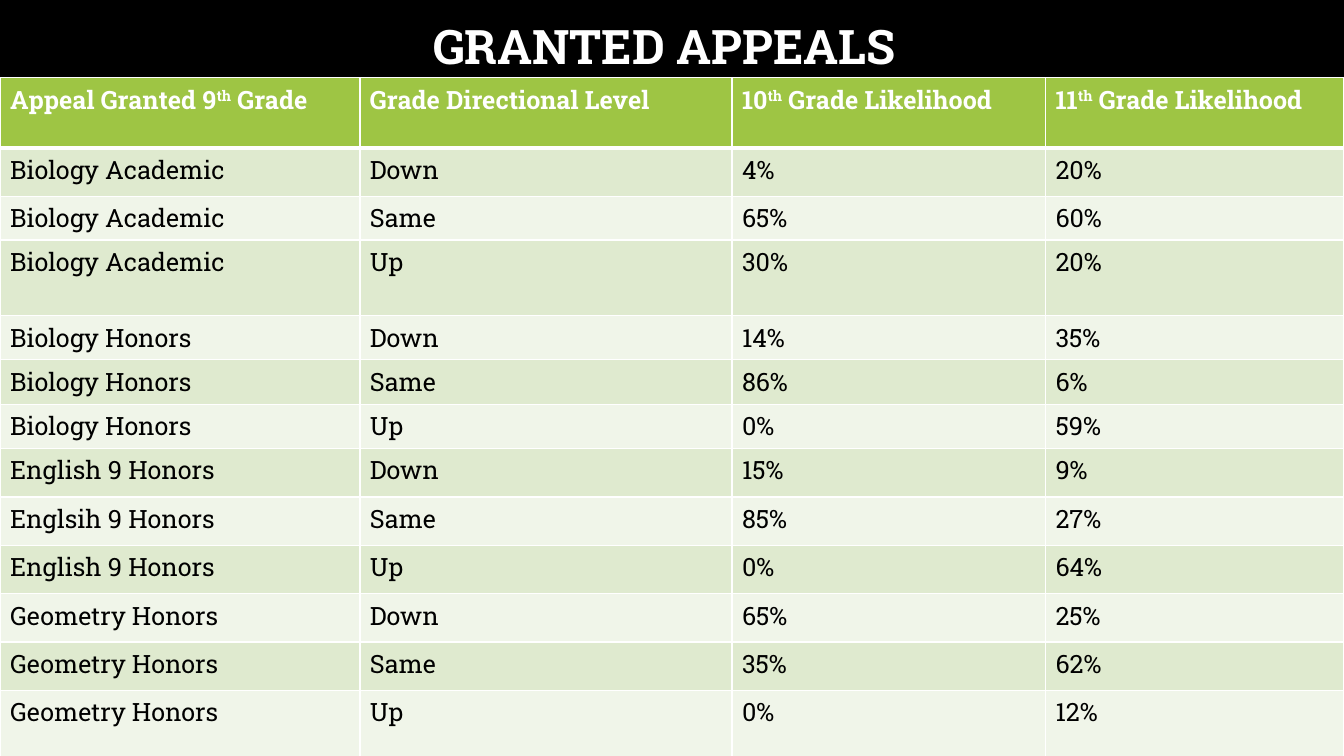
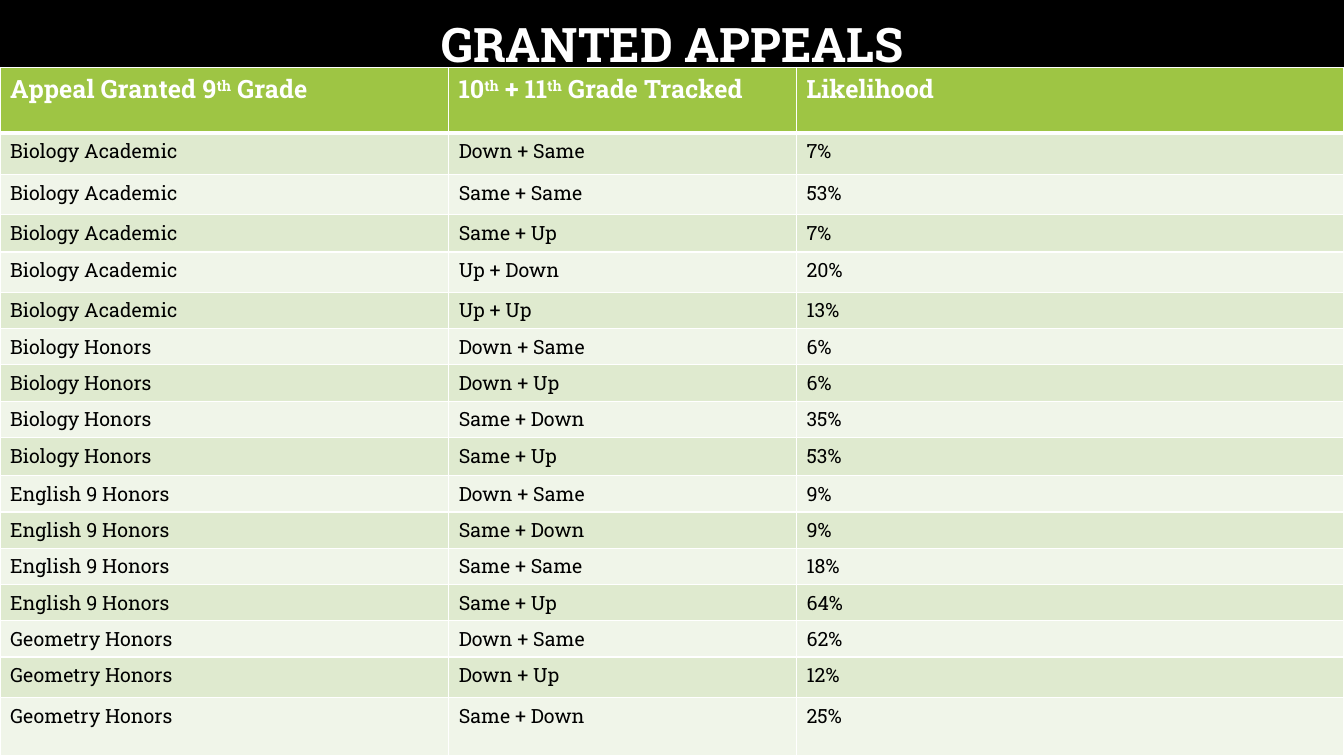
from lxml import etree
from pptx import Presentation
from pptx.dml.color import RGBColor
from pptx.enum import text
from pptx.oxml import ns
from pptx.util import Inches, Pt

FONT = "Roboto Slab"
COLORS = {
    "back": "000000",
    "head": "9EC544",
    "odd": "DFEACF",
    "even": "F0F5E9",
    "light": "FFFFFF",
    "dark": "000000",
}
WIDTH, HEIGHT = 13.33, 7.5
TITLE = "GRANTED APPEALS"

GRADES = {
    "title": (0.93, 0.05, 11.32, 0.88),
    "top": 0.77,
    "size": 18,
    "cols": [3.57, 3.69, 3.11, 2.96],
    "rows": [0.7, 0.48, 0.42, 0.75] + [0.44] * 3 + [0.48] * 5 + [0.66],
    "head": ["Appeal Granted 9^th^ Grade", "Grade Directional Level",
             "10^th^ Grade Likelihood", "11^th^ Grade Likelihood"],
    "data": [
        ("Biology Academic", "Down", "4%", "20%"),
        ("Biology Academic", "Same", "65%", "60%"),
        ("Biology Academic", "Up", "30%", "20%"),
        ("Biology Honors", "Down", "14%", "35%"),
        ("Biology Honors", "Same", "86%", "6%"),
        ("Biology Honors", "Up", "0%", "59%"),
        ("English 9 Honors", "Down", "15%", "9%"),
        ("Englsih 9 Honors", "Same", "85%", "27%"),
        ("English 9 Honors", "Up", "0%", "64%"),
        ("Geometry Honors", "Down", "65%", "25%"),
        ("Geometry Honors", "Same", "35%", "62%"),
        ("Geometry Honors", "Up", "0%", "12%"),
    ],
}

TRACKS = {
    "title": (1.01, 0, 11.32, 0.93),
    "top": 0.67,
    "size": 14,
    "cols": [4.45, 3.45, 5.43],
    "rows": [0.65, 0.41, 0.4, 0.37, 0.4] + [0.36] * 4 + [0.38]
            + [0.36] * 5 + [0.4, 0.58],
    "head": ["Appeal Granted 9^th^ Grade", "10^th^ + 11^th^ Grade Tracked",
             "Likelihood"],
    "data": [
        ("Biology Academic", "Down + Same", "7%"),
        ("Biology Academic", "Same + Same", "53%"),
        ("Biology Academic", "Same + Up", "7%"),
        ("Biology Academic", "Up + Down", "20%"),
        ("Biology Academic", "Up + Up", "13%"),
        ("Biology Honors", "Down + Same", "6%"),
        ("Biology Honors", "Down + Up", "6%"),
        ("Biology Honors", "Same + Down", "35%"),
        ("Biology Honors", "Same + Up", "53%"),
        ("English 9 Honors", "Down + Same", "9%"),
        ("English 9 Honors", "Same + Down", "9%"),
        ("English 9 Honors", "Same + Same", "18%"),
        ("English 9 Honors", "Same + Up", "64%"),
        ("Geometry Honors", "Down + Same", "62%"),
        ("Geometry Honors", "Down + Up", "12%"),
        ("Geometry Honors", "Same + Down", "25%"),
    ],
}


def color(name):
    return RGBColor.from_string(COLORS[name])


def style(para, size, tone, bold):
    font = para.font
    font.name, font.size, font.bold = FONT, Pt(size), bold
    font.color.rgb = color(tone)


def write(para, words):
    """Add runs to a paragraph; text between carets is superscript."""
    for i, part in enumerate(words.split("^")):
        run = para.add_run()
        run.text = part
        if i % 2:
            run._r.get_or_add_rPr().set("baseline", "30000")


def edge(cell, side, width):
    line = etree.SubElement(cell._tc.get_or_add_tcPr(), ns.qn("a:ln" + side),
                            w=str(Pt(width)))
    fill = etree.SubElement(line, ns.qn("a:solidFill"))
    etree.SubElement(fill, ns.qn("a:srgbClr"), val=COLORS["light"])


def add_title(slide, box):
    title = slide.shapes.title
    title.left, title.top, title.width, title.height = map(Inches, box)
    frame = title.text_frame
    frame.auto_size = text.MSO_AUTO_SIZE.NONE
    frame.vertical_anchor = text.MSO_ANCHOR.MIDDLE
    para = frame.paragraphs[0]
    para.alignment = text.PP_ALIGN.CENTER
    para.line_spacing = 0.9
    style(para, 34, "light", True)
    write(para, TITLE)


def fill_cell(cell, words, row, size):
    head = row == 0
    for side in "LRTB":
        thick = head and side == "B" or row == 1 and side == "T"
        edge(cell, side, 3 if thick else 1)
    cell.fill.solid()
    cell.fill.fore_color.rgb = color(
        "head" if head else "odd" if row % 2 else "even")
    para = cell.text_frame.paragraphs[0]
    style(para, 18 if head else size, "light" if head else "dark", head)
    write(para, words)


def add_grid(slide, page):
    rows = [page["head"], *page["data"]]
    grid = slide.shapes.add_table(
        len(rows), len(page["cols"]), 0, Inches(page["top"]),
        Inches(WIDTH), Inches(HEIGHT - page["top"])).table
    for col, width in zip(grid.columns, page["cols"]):
        col.width = Inches(width)
    for r, (words, high) in enumerate(zip(rows, page["rows"])):
        grid.rows[r].height = Inches(high)
        for c, word in enumerate(words):
            fill_cell(grid.cell(r, c), word, r, page["size"])


def main():
    deck = Presentation()
    deck.slide_width, deck.slide_height = Inches(WIDTH), Inches(HEIGHT)
    back = deck.slide_master.background.fill
    back.solid()
    back.fore_color.rgb = color("back")
    layout = deck.slide_layouts.get_by_name("Title Only")
    for page in (GRADES, TRACKS):
        slide = deck.slides.add_slide(layout)
        add_title(slide, page["title"])
        add_grid(slide, page)
    deck.save("out.pptx")


if __name__ == "__main__":
    main()
